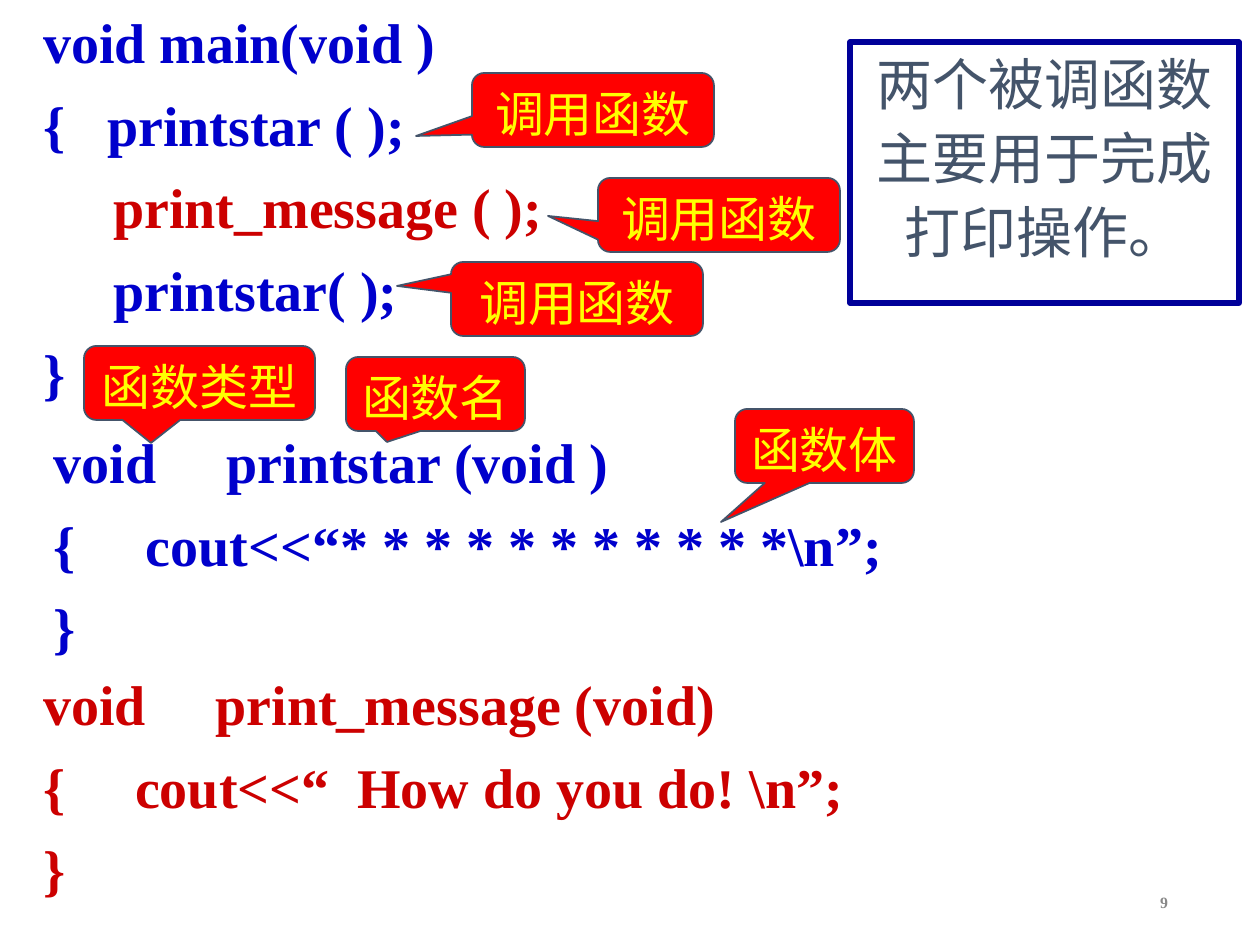
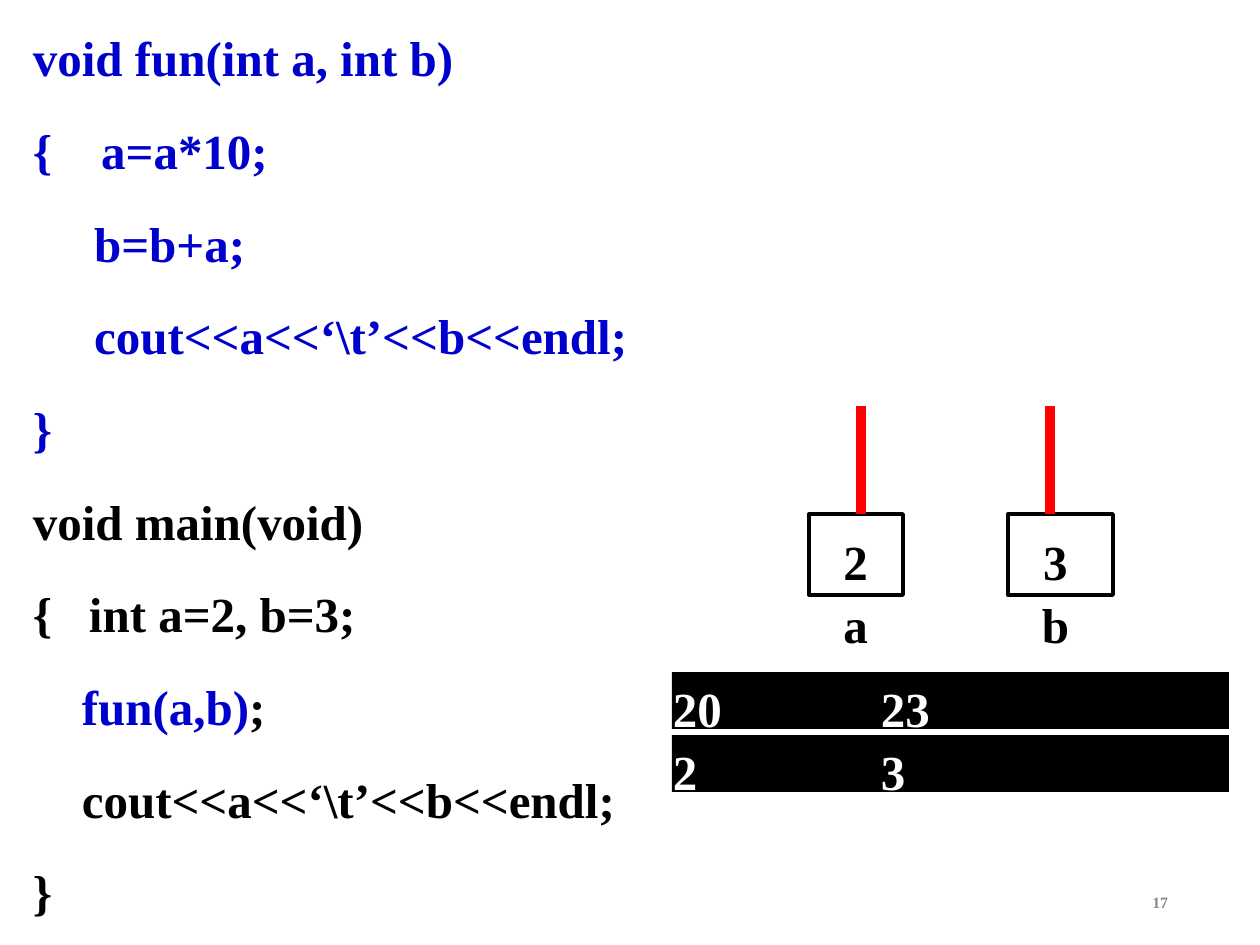
from lxml import etree
from pptx import Presentation
from pptx.dml.color import RGBColor
from pptx.enum.shapes import MSO_CONNECTOR, MSO_SHAPE
from pptx.enum.text import MSO_ANCHOR, PP_ALIGN
from pptx.oxml.ns import qn
from pptx.util import Emu, Pt

PX_PER_INCH = 126
SERIF, CJK = "Times New Roman", "Noto Sans CJK SC"
BLUE, CRIMSON, RED, YELLOW = "0000CC", "CC0000", "FF0000", "FFFF00"
NAVY, SLATE, GREY, BLACK, WHITE = "000099", "44546A", "888888", "000000", "FFFFFF"

# Text formats: font values, then paragraph values
CODE = {"size": 32, "name": SERIF, "bold": True, "gap": 5}
CODE_SMALL = {"size": 28, "name": SERIF, "bold": True, "gap": 16}
VALUE = {**CODE_SMALL, "align": PP_ALIGN.CENTER}
LABEL = {"size": 28, "name": CJK, "bold": False, "align": PP_ALIGN.CENTER}
NOTE = {**LABEL, "size": 32}
PAGE = {"size": 9, "name": SERIF, "bold": True, "align": PP_ALIGN.RIGHT,
        "spacing": 1.2}


def px(n):
    return Emu(round(n * 914400 / PX_PER_INCH))


def color(hex_string):
    return RGBColor.from_string(hex_string)


def add_tab(p, position):
    """Put one left tab stop in the paragraph."""
    tabs = etree.SubElement(p._p.get_or_add_pPr(), qn("a:tabLst"))
    etree.SubElement(tabs, qn("a:tab"), pos=str(px(position)), algn="l")


def add_run(p, text, hex_string, fmt):
    r = p.add_run()
    r.text = text
    for key in ("size", "name", "bold"):
        setattr(r.font, key, Pt(fmt[key]) if key == "size" else fmt[key])
    r.font.color.rgb = color(hex_string)
    if fmt["name"] == CJK:
        latin = r._r.rPr.find(qn("a:latin"))
        latin.addnext(latin.makeelement(qn("a:ea"), {"typeface": CJK}))


def write(sp, lines, fmt, inset=1, anchor=MSO_ANCHOR.TOP, wrap=True, tab=None):
    """Fill a shape; each line is a list of (text, colour) runs."""
    tf = sp.text_frame
    frame = {f"margin_{side}": px(inset)
             for side in ("left", "top", "right", "bottom")}
    frame.update(word_wrap=wrap, vertical_anchor=anchor)
    for key, value in frame.items():
        setattr(tf, key, value)
    for i, runs in enumerate(lines):
        p = tf.add_paragraph() if i else tf.paragraphs[0]
        p.alignment = fmt.get("align", PP_ALIGN.LEFT)
        p.line_spacing = fmt.get("spacing", 1.1)
        p.space_before = Pt(fmt["gap"] if i else 0)
        if tab:
            add_tab(p, tab)
        for text, hex_string in runs:
            add_run(p, text, hex_string, fmt)


def add_text(slide, box, lines, fmt, **options):
    sp = slide.shapes.add_textbox(*map(px, box))
    write(sp, lines, fmt, **options)


def add_box(slide, box, fill=None, line=None, width=1, kind=MSO_SHAPE.RECTANGLE):
    sp = slide.shapes.add_shape(kind, *map(px, box))
    sp.shadow.inherit = False
    if fill:
        sp.fill.solid()
        sp.fill.fore_color.rgb = color(fill)
    else:
        sp.fill.background()
    if line:
        sp.line.color.rgb = color(line)
        sp.line.width = Pt(width)
    else:
        sp.line.fill.background()
    return sp


def add_callout(slide, text, x, y, w, tip):
    """Red speech bubble whose wedge ends at tip."""
    h = 74
    sp = add_box(slide, (x, y, w, h), RED, SLATE,
                 kind=MSO_SHAPE.ROUNDED_RECTANGULAR_CALLOUT)
    sp.adjustments[0] = (tip[0] - x - w / 2) / w
    sp.adjustments[1] = (tip[1] - y - h / 2) / h
    write(sp, [[(text, YELLOW)]], LABEL)


def add_stem(slide, x, top, bottom):
    c = slide.shapes.add_connector(MSO_CONNECTOR.STRAIGHT,
                                   *map(px, (x, bottom, x, top)))
    c.line.color.rgb = color(RED)
    c.line.width = Pt(6)
    etree.SubElement(c._element.spPr, qn("a:effectLst"))


def new_slide(prs, number):
    """Blank slide with its page number."""
    slide = prs.slides.add_slide(prs.slide_layouts[6])
    w = 14 + 8 * len(number)
    add_text(slide, (1174 - w, 886, w, 29), [[(number, GREY)]], PAGE,
             inset=6, anchor=MSO_ANCHOR.MIDDLE, wrap=False)
    return slide


def in_color(hex_string, *lines):
    return [[(line, hex_string)] for line in lines]


def build_call_slide(prs):
    slide = new_slide(prs, "9")

    # Code of the caller and the two called functions
    main_code = in_color(BLUE, "void main(void )", "{   printstar ( );")
    main_code += [[("     ", BLUE), ("print_message ( );", CRIMSON)]]
    main_code += in_color(BLUE, "     printstar( );", "}")
    add_text(slide, (42, 0, 850, 389), main_code, CODE)
    add_text(slide, (53, 420, 1144, 228), in_color(
        BLUE, "void     printstar (void )",
        "{     cout<<“* * * * * * * * * * *\\n”;", "}"), CODE)
    add_text(slide, (42, 662, 1113, 228), in_color(
        CRIMSON, "void     print_message (void)",
        "{     cout<<“  How do you do! \\n”;", "}"), CODE)

    # Callouts that name the parts of the code
    for callout in (
        ("调用函数", 472, 73, 242, (416, 136)),
        ("调用函数", 598, 178, 242, (548, 216)),
        ("调用函数", 451, 262, 252, (397, 286)),
        ("函数类型", 84, 346, 231, (151, 443)),
        ("函数名", 346, 357, 179, (387, 442)),
        ("函数体", 735, 409, 179, (721, 522)),
    ):
        add_callout(slide, *callout)

    # Framed remark
    sp = add_box(slide, (850, 42, 389, 261), line=NAVY, width=3)
    write(sp, in_color(SLATE, "两个被调函数主要用于完成打印操作。"), NOTE)


def build_value_slide(prs):
    slide = new_slide(prs, "17")

    # Code of fun and main
    code = in_color(BLUE, "void fun(int a, int b)", "{    a=a*10;", "     b=b+a;",
                    "     cout<<a<<‘\\t’<<b<<endl;", "}")
    code += in_color(BLACK, "void main(void)", "{   int a=2, b=3;")
    code += [[("    ", BLACK), ("fun(a,b)", BLUE), (";", BLACK)]]
    code += in_color(BLACK, "    cout<<a<<‘\\t’<<b<<endl;", "}")
    add_text(slide, (32, 21, 661, 874), code, CODE_SMALL)

    # Variables of main: cell, value, name and stem
    for name, value, x, w, text_x, stem_x in (("a", "2", 809, 94, 829, 861),
                                              ("b", "3", 1008, 105, 1029, 1050)):
        add_box(slide, (x, 514, w, 81), line=BLACK, width=2.25)
        for text, y in ((value, 525), (name, 588)):
            add_text(slide, (text_x, y, 53, 57), in_color(BLACK, text), VALUE)
        add_stem(slide, stem_x, 406, 514)

    # Program output
    for y, output in ((672, "20\t23"), (735, "2\t3")):
        sp = add_box(slide, (672, y, 557, 57), fill=BLACK)
        write(sp, in_color(WHITE, output), CODE_SMALL, tab=208)


def main():
    prs = Presentation()
    prs.slide_width, prs.slide_height = px(1260), px(945)
    build_call_slide(prs)
    build_value_slide(prs)
    prs.save("out.pptx")


if __name__ == "__main__":
    main()
